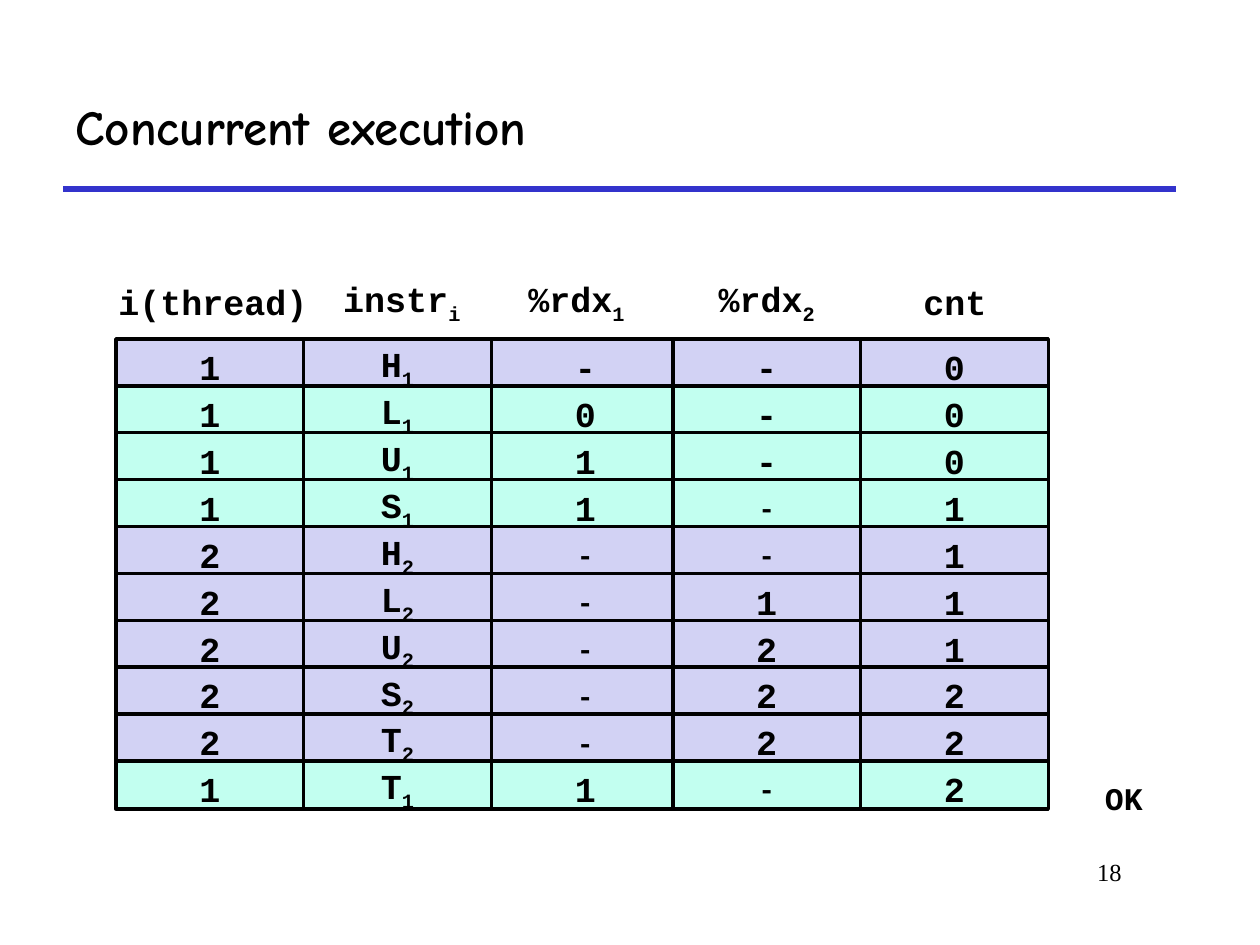
from dataclasses import dataclass

from lxml.etree import SubElement
from pptx import Presentation
from pptx.dml.color import RGBColor
from pptx.enum.shapes import MSO_CONNECTOR, MSO_SHAPE
from pptx.enum.text import MSO_ANCHOR, MSO_AUTO_SIZE, PP_ALIGN
from pptx.oxml.ns import qn
from pptx.util import Inches, Pt


@dataclass(frozen=True)
class Theme:
    ink: RGBColor = RGBColor(0x00, 0x00, 0x00)
    rule: RGBColor = RGBColor(0x33, 0x33, 0xCC)
    lavender: RGBColor = RGBColor(0xD2, 0xD2, 0xF4)
    mint: RGBColor = RGBColor(0xC2, 0xFF, 0xF0)
    title_font: str = "Comic Neue"
    code_font: str = "Courier New"
    number_font: str = "Times New Roman"
    title_size: int = 28
    code_size: int = 20
    note_size: int = 18
    dash_size: int = 16
    number_size: int = 14


class SlideBuilder:
    def __init__(self, slide, theme):
        self.slide = slide
        self.theme = theme

    def set_text(self, shape, text, font, size, align, bold=True, **frame_format):
        frame = shape.text_frame
        frame_values = {"word_wrap": True, "auto_size": MSO_AUTO_SIZE.NONE, **frame_format}
        for name, value in frame_values.items():
            setattr(frame, name, value)
        para = frame.paragraphs[0]
        para.alignment = align
        base, _, subscript = text.partition("_")
        for part in filter(None, (base, subscript)):
            span = para.add_run()
            span.text = part
            for name, value in {"name": font, "size": Pt(size), "bold": bold}.items():
                setattr(span.font, name, value)
            span.font.color.rgb = self.theme.ink
        if subscript:
            span.font._element.set("baseline", "-25000")

    def set_code(self, shape, text, size, wrap=True):
        self.set_text(shape, text, self.theme.code_font, size, PP_ALIGN.CENTER,
                      word_wrap=wrap, vertical_anchor=MSO_ANCHOR.MIDDLE,
                      margin_top=Inches(0.06), margin_bottom=0)

    def title(self, text, left, top, width, height):
        box = self.slide.shapes.title
        placement = {"left": left, "top": top, "width": width, "height": height}
        for name, value in placement.items():
            setattr(box, name, Inches(value))
        self.set_text(box, text, self.theme.title_font, self.theme.title_size,
                      PP_ALIGN.LEFT, vertical_anchor=MSO_ANCHOR.MIDDLE)

    def rule(self, left, right, top):
        line = self.slide.shapes.add_connector(
            MSO_CONNECTOR.STRAIGHT, Inches(left), Inches(top), Inches(right), Inches(top))
        line.line.color.rgb = self.theme.rule
        line.line.width = Pt(3)
        SubElement(line._element.spPr, qn("a:effectLst"))

    def cell(self, text, size, fill, *place):
        box = self.slide.shapes.add_shape(MSO_SHAPE.RECTANGLE, *map(Inches, place))
        box.shadow.inherit = False
        box.fill.solid()
        box.fill.fore_color.rgb = fill
        box.line.color.rgb = self.theme.ink
        box.line.width = Pt(2)
        self.set_code(box, text, size)

    def label(self, text, size, *place):
        box = self.slide.shapes.add_textbox(*map(Inches, place))
        self.set_code(box, text, size, wrap=False)

    def page_number(self, text, *place):
        box = self.slide.shapes.add_textbox(*map(Inches, place))
        self.set_text(box, text, self.theme.number_font, self.theme.number_size,
                      PP_ALIGN.RIGHT, bold=False)


HEADERS = [
    ("i(thread)", 0.83, 1.72),
    ("instr_i", 2.61, 1.16),
    ("%rdx_1", 4.08, 0.99),
    ("%rdx_2", 5.59, 0.99),
    ("cnt", 7.08, 1),
]
STEPS = [
    ("1", "H_1", "-", "-", "0"),
    ("1", "L_1", "0", "-", "0"),
    ("1", "U_1", "1", "-", "0"),
    ("1", "S_1", "1", "-", "1"),
    ("2", "H_2", "-", "-", "1"),
    ("2", "L_2", "-", "1", "1"),
    ("2", "U_2", "-", "2", "1"),
    ("2", "S_2", "-", "2", "2"),
    ("2", "T_2", "-", "2", "2"),
    ("1", "T_1", "1", "-", "2"),
]
COLUMN_LEFTS = (0.92, 2.41, 3.9, 5.34, 6.83)
CELL_WIDTH, CELL_HEIGHT = 1.49, 0.38
GRID_TOP, GRID_BOTTOM = 2.69, 6.42
ROW_PITCH = (GRID_BOTTOM - CELL_HEIGHT - GRID_TOP) / (len(STEPS) - 1)
FIRST_SMALL_DASH_ROW = 3


def main():
    """Build the concurrent execution slide."""
    theme = Theme()
    deck = Presentation()
    deck.slide_width, deck.slide_height = Inches(10), Inches(7.5)
    page = SlideBuilder(deck.slides.add_slide(deck.slide_layouts[5]), theme)

    page.rule(0.5, 9.33, 1.5)
    page.page_number("18", 7.58, 6.75, 1.42, 0.5)
    page.title("Concurrent execution", 0.5, 0.5, 8.83, 1)

    for row, step in enumerate(STEPS):
        in_first_thread = step[0] == "1" and row > 0
        fill = theme.mint if in_first_thread else theme.lavender
        top = GRID_TOP + row * ROW_PITCH
        for text, left in zip(step, COLUMN_LEFTS):
            small = text == "-" and row >= FIRST_SMALL_DASH_ROW
            size = theme.dash_size if small else theme.code_size
            page.cell(text, size, fill, left, top, CELL_WIDTH, CELL_HEIGHT)

    for text, left, width in HEADERS:
        page.label(text, theme.code_size, left, 2.14, width, 0.44)
    page.label("OK", theme.note_size, 8.67, 6.1, 0.5, 0.4)

    deck.save("out.pptx")


if __name__ == "__main__":
    main()
